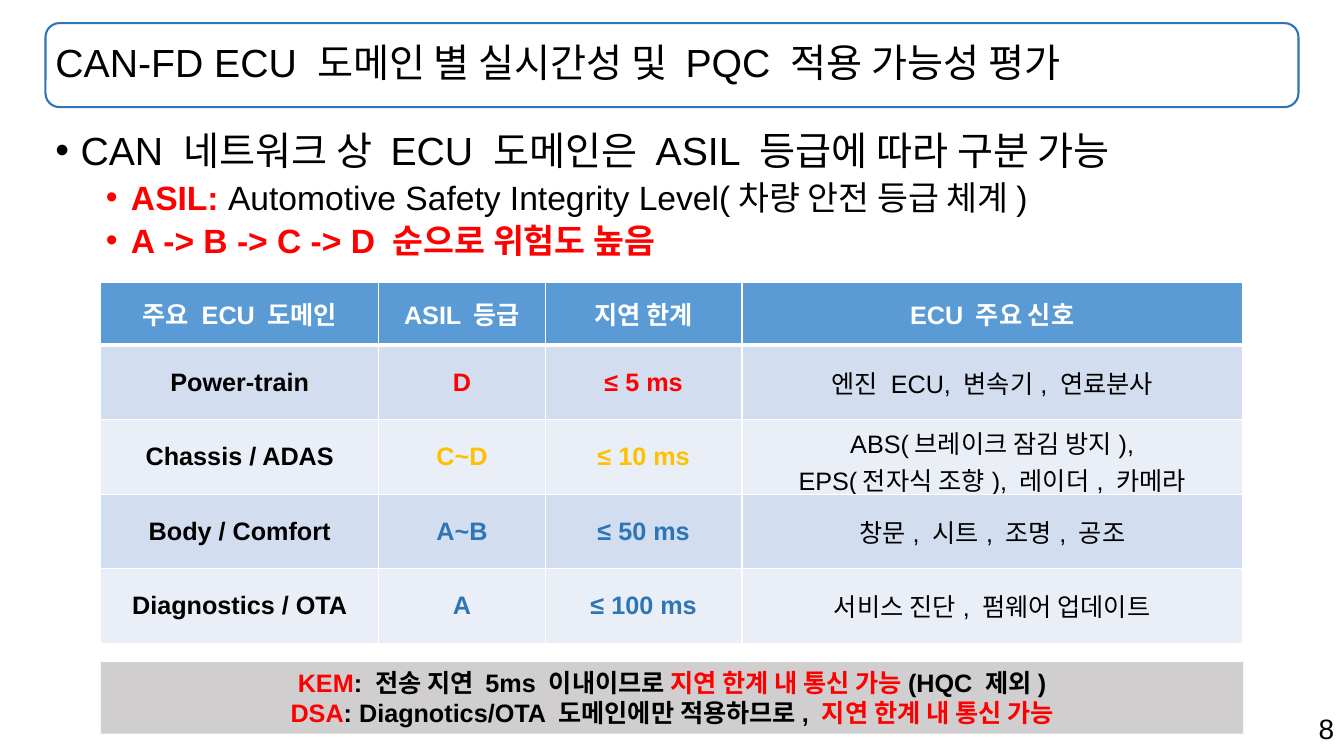
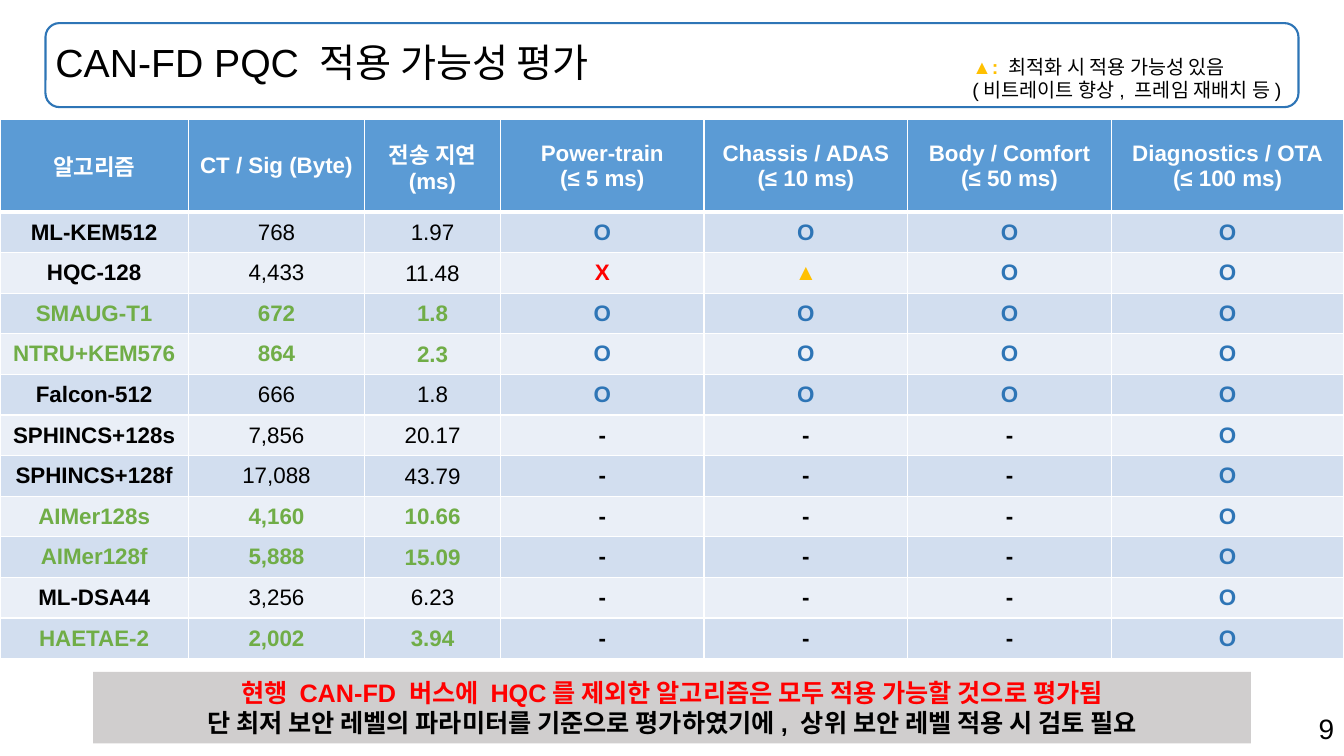
from lxml import etree
from pptx import Presentation
from pptx.dml.color import RGBColor
from pptx.enum.shapes import MSO_SHAPE
from pptx.enum.text import MSO_ANCHOR, PP_ALIGN
from pptx.oxml.ns import qn
from pptx.util import Pt

COLORS = {
    "black": "000000", "white": "FFFFFF", "red": "FF0000", "amber": "FFC000",
    "blue": "2E75B6", "green": "70AD47", "header": "5B9BD5",
    "odd": "D2DEEF", "even": "EAEFF7", "band": "D0CECE",
}
FONT = "Arial"
RGB = {name: RGBColor.from_string(value) for name, value in COLORS.items()}


def write(tf, paragraphs, size, bullet_indent=None, **formats):
    """Fill a text frame; each paragraph is a list of (text, color, bold) runs."""
    for i, runs in enumerate(paragraphs):
        p = tf.paragraphs[0] if i == 0 else tf.add_paragraph()
        if bullet_indent is not None:
            pPr = p._p.get_or_add_pPr()
            pPr.set("marL", str(Pt(bullet_indent)))
            pPr.set("indent", str(-Pt(18)))
            etree.SubElement(pPr, qn("a:buFont")).set("typeface", FONT)
            etree.SubElement(pPr, qn("a:buChar")).set("char", "•")
        for name, value in formats.items():
            setattr(p, name, value)
        for text, color, bold in runs:
            r = p.add_run()
            r.text = text
            for name, value in {"name": FONT, "size": Pt(size), "bold": bold}.items():
                setattr(r.font, name, value)
            r.font.color.rgb = RGB[color]


def add_grid(s, left, top, widths, heights, rows, size):
    """Add a table; each cell is (text, color, bold), one paragraph per line."""
    table = s.shapes.add_table(len(heights), len(widths), Pt(left), Pt(top),
                               Pt(sum(widths)), Pt(sum(heights))).table
    for column, width in zip(table.columns, widths):
        column.width = Pt(width)
    for i, (height, row) in enumerate(zip(heights, rows)):
        table.rows[i].height = Pt(height)
        for j, (text, color, bold) in enumerate(row):
            cell = table.cell(i, j)
            cell.vertical_anchor = MSO_ANCHOR.MIDDLE
            tcPr = cell._tc.get_or_add_tcPr()
            # White borders, thick below the header
            for side in ("lnL", "lnR", "lnT", "lnB"):
                thick = (i, side) in ((0, "lnB"), (1, "lnT"))
                ln = etree.SubElement(tcPr, qn(f"a:{side}"), w=str(Pt(3 if thick else 1)))
                fill = etree.SubElement(ln, qn("a:solidFill"))
                etree.SubElement(fill, qn("a:srgbClr"), val=COLORS["white"])
            cell.fill.solid()
            cell.fill.fore_color.rgb = RGB["header" if i == 0 else "odd" if i % 2 else "even"]
            write(cell.text_frame, [[(line, color, bold)] for line in text.split("\n")],
                  size, alignment=PP_ALIGN.CENTER)
    return table


prs = Presentation()
prs.slide_width, prs.slide_height = Pt(960), Pt(540)

# Title, band (left, top, width) and band text of each slide
pages = [
    (8, "CAN-FD ECU 도메인 별 실시간성 및 PQC 적용 가능성 평가", (72, 473, 816), [
        [("KEM", "red", True), (": 전송 지연 5ms 이내이므로 ", "black", True),
         ("지연 한계 내 통신 가능", "red", True), ("(HQC 제외)", "black", True)],
        [("DSA", "red", True), (": Diagnotics/OTA 도메인에만 적용하므로, ", "black", True),
         ("지연 한계 내 통신 가능", "red", True)],
    ]),
    (9, "CAN-FD PQC 적용 가능성 평가", (66.5, 480, 827), [
        [("현행 CAN-FD 버스에 HQC를 제외한 알고리즘은 모두 적용 가능할 것으로 평가됨", "red", True)],
        [("단 최저 보안 레벨의 파라미터를 기준으로 평가하였기에, 상위 보안 레벨 적용 시 검토 필요",
          "black", True)],
    ]),
]

# Shared parts: title frame, page number, conclusion band
for number, title, (left, top, width), conclusion in pages:
    s = prs.slides.add_slide(prs.slide_layouts[6])
    sp = s.shapes.add_shape(MSO_SHAPE.ROUNDED_RECTANGLE, Pt(32.5), Pt(16.5), Pt(895), Pt(60))
    sp.shadow.inherit = False
    sp.fill.background()
    sp.line.color.rgb = RGB["blue"]
    sp.line.width = Pt(1.5)
    sp.text_frame.margin_left = Pt(4.2)
    sp.text_frame.vertical_anchor = MSO_ANCHOR.MIDDLE
    write(sp.text_frame, [[(title, "black", False)]], 28,
          alignment=PP_ALIGN.LEFT, line_spacing=0.9)

    sp = s.shapes.add_textbox(Pt(679), Pt(505), Pt(281), Pt(31.5))
    sp.text_frame.word_wrap = True
    write(sp.text_frame, [[(str(number), "black", False)]], 20, alignment=PP_ALIGN.RIGHT)

    sp = s.shapes.add_shape(MSO_SHAPE.RECTANGLE, Pt(left), Pt(top), Pt(width), Pt(51))
    sp.shadow.inherit = False
    sp.fill.solid()
    sp.fill.fore_color.rgb = RGB["band"]
    sp.line.fill.background()
    sp.text_frame.vertical_anchor = MSO_ANCHOR.TOP
    write(sp.text_frame, conclusion, 18, alignment=PP_ALIGN.CENTER)

domains_slide, results_slide = prs.slides

# ECU domains: bullets
sp = domains_slide.shapes.add_textbox(Pt(32.5), Pt(90.5), Pt(895), Pt(111))
tf = sp.text_frame
tf.word_wrap = True
write(tf, [[("CAN 네트워크 상 ECU 도메인은 ASIL 등급에 따라 구분 가능", "black", False)]], 28,
      bullet_indent=18, line_spacing=0.9)
details = [
    [("ASIL: ", "red", True),
     ("Automotive Safety Integrity Level(차량 안전 등급 체계)", "black", False)],
    [("A -> B -> C -> D 순으로 위험도 높음", "red", True)],
]
for runs in details:
    p = tf.add_paragraph()
    p.level = 1
    pPr = p._p.get_or_add_pPr()
    pPr.set("marL", str(Pt(54)))
    pPr.set("indent", str(-Pt(18)))
    etree.SubElement(pPr, qn("a:buFont")).set("typeface", FONT)
    etree.SubElement(pPr, qn("a:buChar")).set("char", "•")
    p.line_spacing = 0.9
    p.space_before = Pt(5)
    for text, color, bold in runs:
        r = p.add_run()
        r.text = text
        for name, value in {"name": FONT, "size": Pt(24), "bold": bold}.items():
            setattr(r.font, name, value)
        r.font.color.rgb = RGB[color]

# ECU domains: table
domains = [
    ("Power-train", "D", "≤ 5 ms", "red", "엔진 ECU, 변속기, 연료분사"),
    ("Chassis / ADAS", "C~D", "≤ 10 ms", "amber",
     "ABS(브레이크 잠김 방지),\nEPS(전자식 조향), 레이더, 카메라"),
    ("Body / Comfort", "A~B", "≤ 50 ms", "blue", "창문, 시트, 조명, 공조"),
    ("Diagnostics / OTA", "A", "≤ 100 ms", "blue", "서비스 진단, 펌웨어 업데이트"),
]
header = ["주요 ECU 도메인", "ASIL 등급", "지연 한계", "ECU 주요 신호"]
rows = [[(text, "white", True) for text in header]]
for domain, level, limit, color, signals in domains:
    rows.append([(domain, "black", True), (level, color, True), (limit, color, True),
                 (signals, "black", False)])
add_grid(domains_slide, 72, 201.5, [198.5, 119, 140.5, 357.5], [45] + [53.25] * 4, rows, 18)

# PQC results: table, with green rows for the highlighted algorithms
results = [
    ("ML-KEM512", "768", "1.97", "OOOO", False),
    ("HQC-128", "4,433", "11.48", "X▲OO", False),
    ("SMAUG-T1", "672", "1.8", "OOOO", True),
    ("NTRU+KEM576", "864", "2.3", "OOOO", True),
    ("Falcon-512", "666", "1.8", "OOOO", False),
    ("SPHINCS+128s", "7,856", "20.17", "---O", False),
    ("SPHINCS+128f", "17,088", "43.79", "---O", False),
    ("AIMer128s", "4,160", "10.66", "---O", True),
    ("AIMer128f", "5,888", "15.09", "---O", True),
    ("ML-DSA44", "3,256", "6.23", "---O", False),
    ("HAETAE-2", "2,002", "3.94", "---O", True),
]
mark_colors = {"O": "blue", "X": "red", "▲": "amber", "-": "black"}
header = ["알고리즘", "CT / Sig (Byte)", "전송 지연\n(ms)"]
header += [f"{domain}\n({limit})" for domain, _, limit, _, _ in domains]
rows = [[(text, "white", True) for text in header]]
for algorithm, length, delay, marks, highlighted in results:
    color = "green" if highlighted else "black"
    rows.append([(algorithm, color, True), (length, color, highlighted),
                 (delay, color, highlighted)]
                + [(mark, mark_colors[mark], True) for mark in marks])
table = add_grid(results_slide, 0, 85.5, [134.5, 126, 97, 145.5, 145.5, 145.5, 166],
                 [66] + [29] * len(results), rows, 16)
for i in range(1, len(rows)):
    for side, margin in {"left": 0.7, "right": 0.7, "top": 0.7, "bottom": 0}.items():
        setattr(table.cell(i, 2), f"margin_{side}", Pt(margin))

# PQC results: legend
sp = results_slide.shapes.add_textbox(Pt(687.5), Pt(35.5), Pt(240), Pt(41))
sp.text_frame.word_wrap = True
write(sp.text_frame, [
    [("▲: ", "amber", True), ("최적화 시 적용 가능성 있음", "black", False)],
    [("(비트레이트 향상, 프레임 재배치 등)", "black", False)],
], 14)

prs.save("out.pptx")
